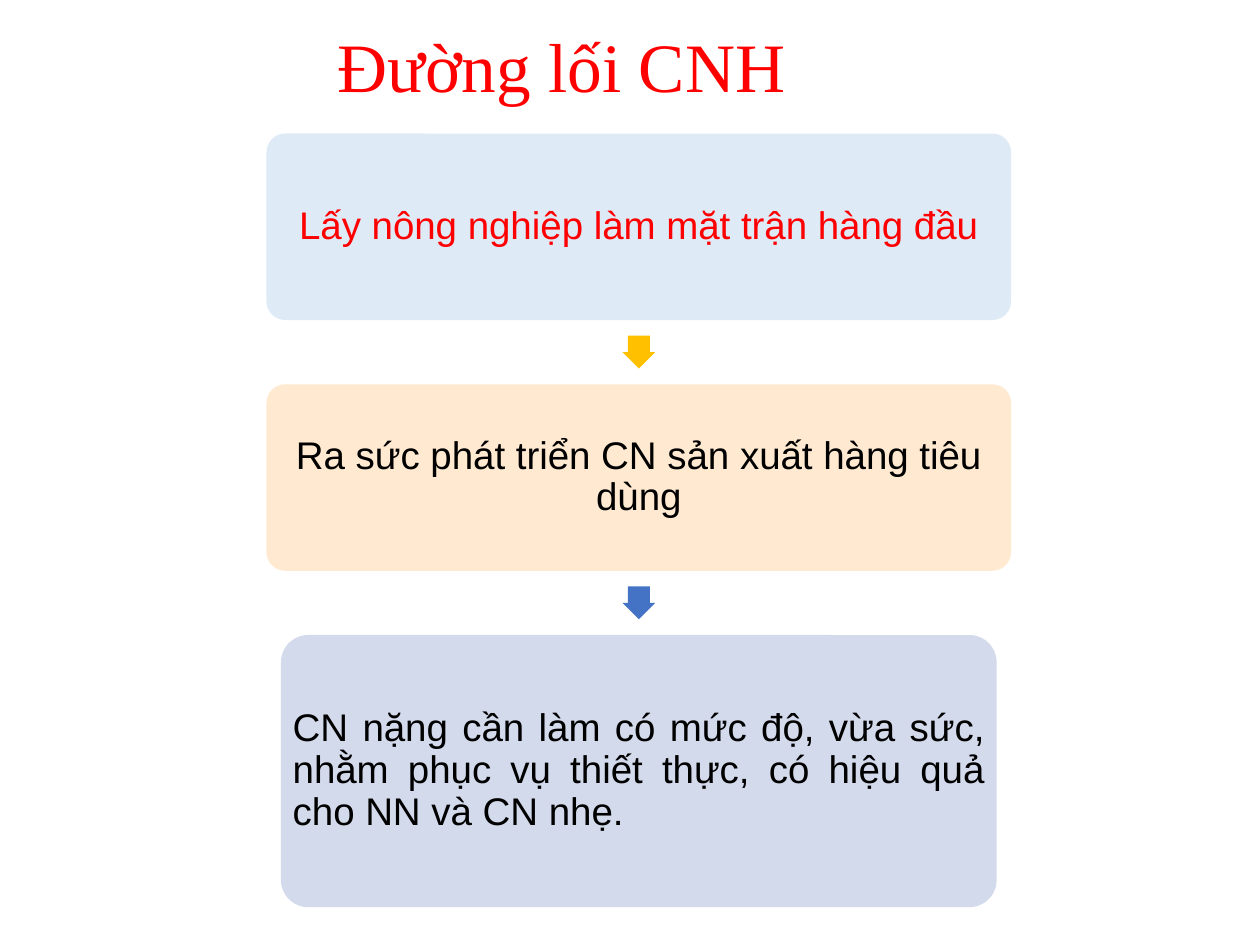
from dataclasses import dataclass

from lxml.etree import SubElement as Sub
from pptx import Presentation as Deck
from pptx.dml.color import RGBColor as Rgb
from pptx.enum.shapes import MSO_SHAPE as Kind
from pptx.enum.text import MSO_ANCHOR as Anchor, MSO_AUTO_SIZE as Fit, PP_ALIGN as Align
from pptx.oxml.ns import qn
from pptx.util import Inches, Pt

HUES = {
    "red": "FF0000",
    "black": "000000",
    "sky": "DEEBF7",
    "peach": "FFE8CC",
    "lilac": "CFD6EA",
    "gold": "FFC000",
    "blue": "4472C4",
}
MID = 5.07
TOP = 1.06
GAP = 0.51
TIP = 0.26


@dataclass
class Step:
    text: str
    fill: str
    ink: str = "black"
    wide: float = 5.91
    high: float = 1.48
    align: Align = Align.CENTER
    alpha: int = 100
    arrow: str = ""


STEPS = [
    Step("Lấy nông nghiệp làm mặt trận hàng đầu", "sky", ink="red", arrow="gold"),
    Step("Ra sức phát triển CN sản xuất hàng tiêu dùng", "peach", alpha=90, arrow="blue"),
    Step("CN nặng cần làm có mức độ, vừa sức, nhằm phục vụ thiết thực, "
         "có hiệu quả cho NN và CN nhẹ.", "lilac", wide=5.68, high=2.16,
         align=Align.JUSTIFY, alpha=90),
]


def write(shape, text: str, *, font: str, size: float, ink: str,
          align: Align, pad: float) -> None:
    frame = shape.text_frame
    frame.word_wrap = True
    frame.auto_size = Fit.NONE
    frame.vertical_anchor = Anchor.MIDDLE
    frame.margin_left = frame.margin_right = Inches(pad)
    frame.margin_top = frame.margin_bottom = Inches(0.03)
    para = frame.paragraphs[0]
    para.alignment = align
    para.line_spacing = 0.9
    run = para.add_run()
    run.text = text
    run.font.name = font
    run.font.size = Pt(size)
    run.font.color.rgb = Rgb.from_string(HUES[ink])


def block(slide, kind: Kind, y: float, wide: float, high: float, fill: str,
          alpha: int = 100):
    shape = slide.shapes.add_shape(kind, Inches(MID - wide / 2), Inches(y),
                                   Inches(wide), Inches(high))
    shape.shadow.inherit = False
    shape.line.fill.background()
    shape.fill.solid()
    shape.fill.fore_color.rgb = Rgb.from_string(HUES[fill])
    if alpha < 100:
        hue = shape.fill._xPr.find(qn("a:solidFill"))[0]
        Sub(hue, qn("a:alpha"), val=str(alpha * 1000))
    return shape


def draw(slide, step: Step, y: float) -> None:
    card = block(slide, Kind.ROUNDED_RECTANGLE, y, step.wide, step.high,
                 step.fill, step.alpha)
    card.adjustments[0] = 0.1
    write(card, step.text, font="Arial", size=22, ink=step.ink,
          align=step.align, pad=0.03)
    if step.arrow:
        spot = y + step.high + (GAP - TIP) / 2
        arrow = block(slide, Kind.RIGHT_ARROW, spot, TIP, TIP, step.arrow)
        arrow.rotation = 90
        arrow.adjustments[0] = 0.67


def main() -> None:
    deck = Deck()
    deck.slide_width, deck.slide_height = Inches(10), Inches(7.5)
    slide = deck.slides.add_slide(deck.slide_layouts[5])
    title = slide.shapes.title
    title.left, title.top = Inches(2.58), Inches(0.25)
    title.width, title.height = Inches(4.36), Inches(0.61)
    write(title, "Đường lối CNH", font="Times New Roman", size=39.6,
          ink="red", align=Align.LEFT, pad=0.1)
    y = TOP
    for step in STEPS:
        draw(slide, step, y)
        y += step.high + GAP
    deck.save("out.pptx")


if __name__ == "__main__":
    main()
